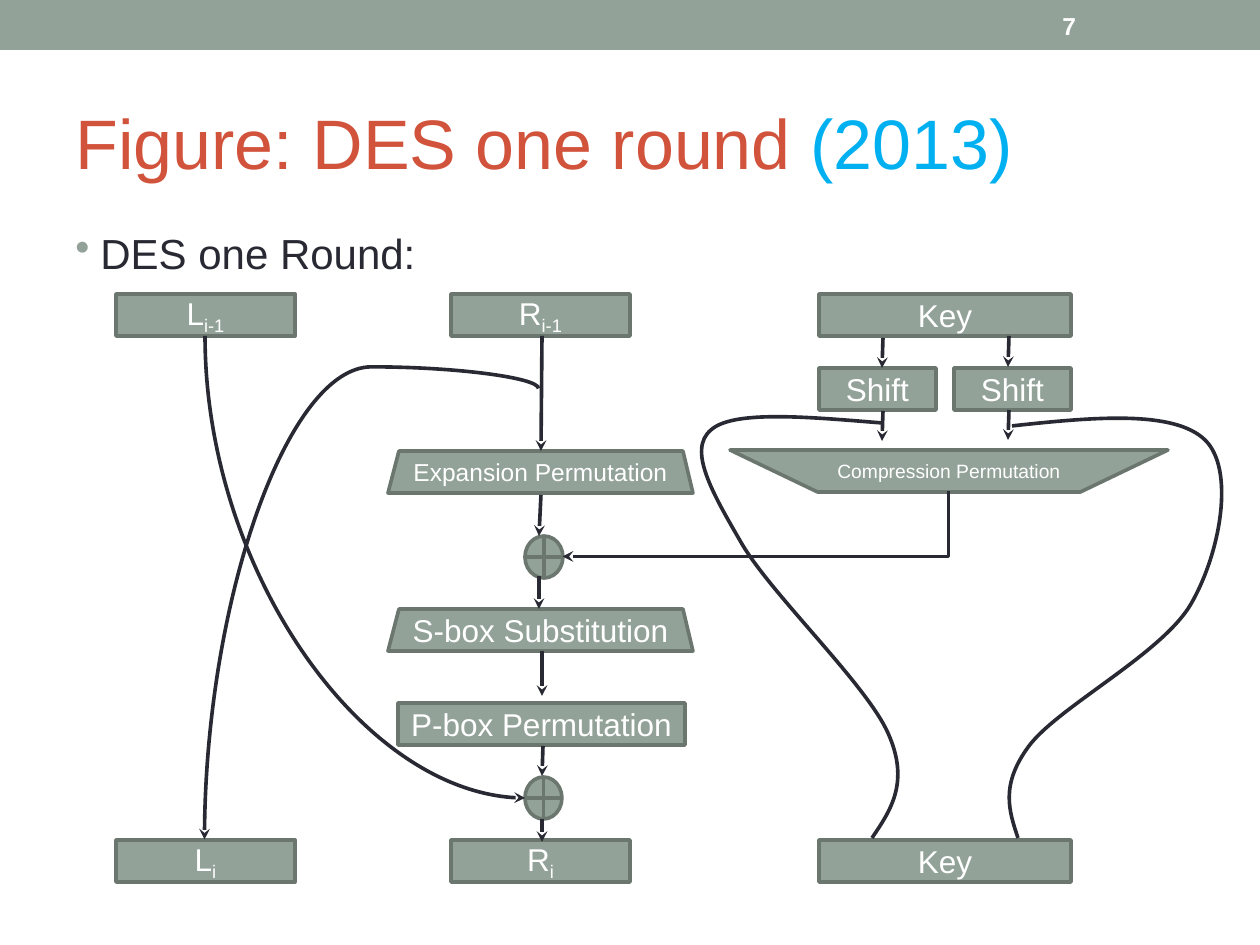
from pptx import Presentation
from pptx.dml.color import RGBColor
from pptx.enum.shapes import MSO_CONNECTOR, MSO_SHAPE
from pptx.enum.text import MSO_ANCHOR, MSO_AUTO_SIZE, PP_ALIGN
from pptx.oxml.ns import qn
from pptx.util import Emu, Pt
from lxml import etree
from dataclasses import dataclass

PROCESS = MSO_SHAPE.FLOWCHART_PROCESS
FUNNEL = MSO_SHAPE.FLOWCHART_MANUAL_OPERATION
XOR = MSO_SHAPE.FLOWCHART_OR
RECTANGLE = MSO_SHAPE.RECTANGLE
STRAIGHT, ELBOW, CURVE = MSO_CONNECTOR.STRAIGHT, MSO_CONNECTOR.ELBOW, MSO_CONNECTOR.CURVE
LEFT, CENTER = PP_ALIGN.LEFT, PP_ALIGN.CENTER
TOP, MIDDLE = MSO_ANCHOR.TOP, MSO_ANCHOR.MIDDLE
NO_AUTOFIT = MSO_AUTO_SIZE.NONE


@dataclass(frozen=True)
class Theme:
    font: str = "Arial"
    sage: str = "93A299"
    edge: str = "6B766F"
    ink: str = "292934"
    white: str = "FFFFFF"
    red: str = "D2533C"
    blue: str = "00B0F0"
    title: int = 40
    body: int = 24
    label: int = 18
    medium: int = 14
    small: int = 11
    stroke: float = 2.08


THEME = Theme()
SCALE = 914400 / 126
BOX_HEIGHT = 42
TOP_ROW, BOTTOM_ROW = 294, 840

TITLE = [("Figure: DES one round ", THEME.red), ("(2013)", THEME.blue)]
BULLET = "DES one Round:"
PAGE_NUMBER = "7"

BOXES = [
    (PROCESS, 116, TOP_ROW, 179, "L", "i-1", THEME.label),
    (PROCESS, 116, BOTTOM_ROW, 179, "L", "i", THEME.label),
    (PROCESS, 451, TOP_ROW, 179, "R", "i-1", THEME.label),
    (PROCESS, 451, BOTTOM_ROW, 179, "R", "i", THEME.label),
    (PROCESS, 819, TOP_ROW, 252, "Key", "", THEME.label),
    (PROCESS, 819, BOTTOM_ROW, 252, "Key", "", THEME.label),
    (PROCESS, 819, 368, 117, "Shift", "", THEME.label),
    (PROCESS, 954, 368, 117, "Shift", "", THEME.label),
    (PROCESS, 398, 703, 287, "P-box Permutation", "", THEME.label),
    (FUNNEL, 730, 450, 438, "Compression Permutation", "", THEME.small),
    (XOR, 525, 536, 38, "", "", THEME.label),
    (XOR, 525, 777, 37, "", "", THEME.label),
]
TRAPEZOIDS = [
    (451, "Expansion Permutation", THEME.medium),
    (609, "S-box Substitution", THEME.label),
]
ARROWS = [
    (542, 336, 541, 451), (541, 495, 539, 536), (539, 576, 539, 609),
    (542, 651, 542, 696), (543, 746, 542, 776), (542, 819, 542, 842),
    (883, 338, 882, 368), (1009, 336, 1008, 367),
    (883, 411, 882, 441), (1009, 410, 1008, 440),
]
TURNED_ARROWS = [
    (CURVE, "curvedConnector2", (134, 407, 462, 320), 270, True, None),
    (CURVE, "curvedConnector3", (146, 447, 451, 334), 90, False, -4800),
    (ELBOW, "bentConnector2", (723, 331, 65, 386), 90, False, None),
]
KEY_LOOPS = [
    [(1012, 426), (1094, 417), (1174, 410), (1205, 440), (1235, 469), (1221, 552), (1191, 604),
     (1162, 654), (1058, 707), (1029, 746), (1000, 785), (1009, 811), (1018, 838)],
    [(882, 423), (808, 417), (733, 410), (711, 430), (687, 450), (713, 494), (742, 544),
     (772, 595), (866, 684), (888, 733), (910, 782), (891, 810), (872, 838)],
]


def px(*lengths):
    return [Emu(round(length * SCALE)) for length in lengths]


def color(value):
    return RGBColor.from_string(value)


def add_run(paragraph, text, size, value, bold=False):
    run = paragraph.add_run()
    run.text = text
    run.font.name = THEME.font
    run.font.size = Pt(size)
    run.font.bold = bold
    run.font.color.rgb = color(value)
    return run


def prepare_text(shape, alignment, anchor, wrap=True):
    frame = shape.text_frame
    frame.word_wrap = wrap
    frame.auto_size = NO_AUTOFIT
    frame.vertical_anchor = anchor
    paragraph = frame.paragraphs[0]
    paragraph.alignment = alignment
    return paragraph


def set_line(shape, value):
    shape.line.color.rgb = color(value)
    shape.line.width = Pt(THEME.stroke)


def finish_box(shape, text, size, subscript=""):
    shape.shadow.inherit = False
    shape.fill.solid()
    shape.fill.fore_color.rgb = color(THEME.sage)
    set_line(shape, THEME.edge)
    if text:
        paragraph = prepare_text(shape, CENTER, MIDDLE, wrap=False)
        add_run(paragraph, text, size, THEME.white)
        if subscript:
            run = add_run(paragraph, subscript, size, THEME.white)
            run._r.get_or_add_rPr().set("baseline", "-25000")


def add_outline(slide, points, close):
    builder = slide.shapes.build_freeform(*points[0], scale=SCALE)
    builder.add_line_segments(points[1:], close=close)
    return builder.convert_to_shape()


def add_arrow(slide, kind, start_x, start_y, end_x, end_y):
    connector = slide.shapes.add_connector(kind, *px(start_x, start_y, end_x, end_y))
    set_line(connector, THEME.ink)
    etree.SubElement(connector.line._get_or_add_ln(), qn("a:tailEnd"), type="stealth")
    etree.SubElement(connector._element.spPr, qn("a:effectLst"))
    return connector


def add_turned_arrow(slide, kind, preset, box, angle, flipped, bend):
    left, top, width, height = box
    connector = add_arrow(slide, kind, left, top, left + width, top + height)
    properties = connector._element.spPr
    frame = properties.find(qn("a:xfrm"))
    frame.set("rot", str(angle * 60000))
    if flipped:
        frame.set("flipH", "1")
    geometry = properties.find(qn("a:prstGeom"))
    geometry.set("prst", preset)
    if bend is not None:
        guides = geometry.find(qn("a:avLst"))
        etree.SubElement(guides, qn("a:gd"), name="adj1", fmla=f"val {bend}")


def add_key_loop(slide, points):
    shape = add_outline(slide, points, close=False)
    shape.shadow.inherit = False
    shape.fill.background()
    set_line(shape, THEME.ink)
    segments = list(shape._element.iter(qn("a:lnTo")))
    for first, second, third in zip(segments[::3], segments[1::3], segments[2::3]):
        first.tag = qn("a:cubicBezTo")
        for segment in (second, third):
            first.append(segment[0])
            segment.getparent().remove(segment)


def add_bullet(paragraph):
    properties = paragraph._p.get_or_add_pPr()
    indent = px(25)[0]
    properties.set("marL", str(indent))
    properties.set("indent", str(-indent))
    bullet_color = etree.SubElement(properties, qn("a:buClr"))
    etree.SubElement(bullet_color, qn("a:srgbClr"), val=THEME.sage)
    etree.SubElement(properties, qn("a:buChar"), char="•")


def add_texts(slide):
    banner = slide.shapes.add_shape(RECTANGLE, *px(0, 0, 1260, 50))
    banner.shadow.inherit = False
    banner.fill.solid()
    banner.fill.fore_color.rgb = color(THEME.sage)
    banner.line.fill.background()

    title = slide.shapes.title
    title.left, title.top, title.width, title.height = px(63, 73, 1134, 136)
    paragraph = prepare_text(title, LEFT, MIDDLE)
    for text, value in TITLE:
        add_run(paragraph, text, THEME.title, value)

    body = slide.shapes.add_textbox(*px(63, 221, 1134, 671))
    paragraph = prepare_text(body, LEFT, TOP)
    add_bullet(paragraph)
    add_run(paragraph, BULLET, THEME.body, THEME.ink)

    number = slide.shapes.add_textbox(*px(1050, 3, 147, 45))
    paragraph = prepare_text(number, LEFT, MIDDLE)
    add_run(paragraph, PAGE_NUMBER, THEME.medium, THEME.white, bold=True)


def add_diagram(slide):
    for kind, left, top, width, text, subscript, size in BOXES:
        shape = slide.shapes.add_shape(kind, *px(left, top, width, BOX_HEIGHT))
        finish_box(shape, text, size, subscript)
    for top, text, size in TRAPEZOIDS:
        bottom = top + BOX_HEIGHT
        corners = [(388, bottom), (399, top), (683, top), (693, bottom)]
        finish_box(add_outline(slide, corners, close=True), text, size)
    for ends in ARROWS:
        add_arrow(slide, STRAIGHT, *ends)
    for arrow in TURNED_ARROWS:
        add_turned_arrow(slide, *arrow)
    for points in KEY_LOOPS:
        add_key_loop(slide, points)


def main():
    presentation = Presentation()
    presentation.slide_width, presentation.slide_height = px(1260, 945)
    slide = presentation.slides.add_slide(presentation.slide_layouts[5])
    add_texts(slide)
    add_diagram(slide)
    presentation.save("out.pptx")


if __name__ == "__main__":
    main()
